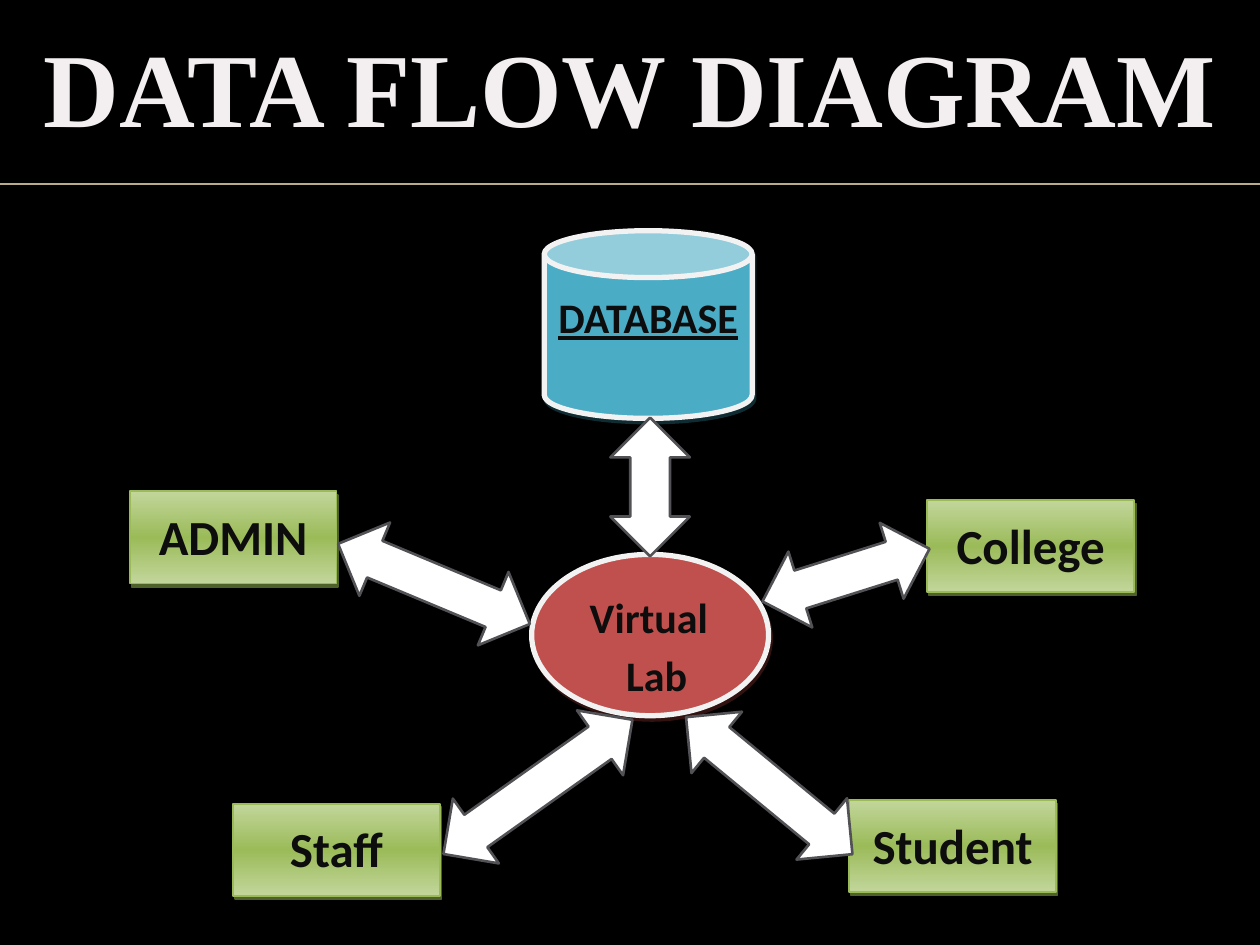
from math import atan2, degrees, hypot

from lxml.etree import SubElement
from pptx import Presentation
from pptx.dml.color import RGBColor
from pptx.enum.shapes import MSO_CONNECTOR, MSO_SHAPE
from pptx.enum.text import MSO_ANCHOR, PP_ALIGN
from pptx.oxml.ns import qn
from pptx.util import Pt

# Content: places are in points
SLIDE = (720, 540)
TITLE = "DATA FLOW DIAGRAM"
TITLE_BOX = (0, 9.4, 720, 79.9)
RULE_Y = 105.1
ENTITY_SIZE = (118.1, 52.6)
ENTITIES = [
    ("ADMIN", (74.2, 280.8)),
    ("College", (529.9, 285.8)),
    ("Staff", (133.2, 459.4)),
    ("Student", (485.3, 457.2)),
]
PROCESS = [("Virtual", 6.3), ("Lab", 27.1)]  # line, left indent
PROCESS_BOX = (303.8, 316.8, 135.4, 92.2)
STORE = "DATABASE"
STORE_BOX = (311, 131.8, 118.8, 107.3)
FLOW_THICKNESS = 45.4
FLOWS = [  # tip to tip
    ((371.5, 238.7), (371.5, 317.9)),  # database to lab
    ((193.2, 310.8), (302.8, 356.6)),  # admin to lab
    ((253.4, 488), (361.4, 411.3)),  # staff to lab
    ((487.1, 488.1), (392, 409.8)),  # student to lab
    ((435.7, 343.7), (531.2, 313.6)),  # lab to college
]

THEME = {
    "background": "000000", "rule": "BBAA8A", "title": "F3EFF0", "text": "0D0D0D",
    "entity": ("C2D69B", "9BBB59", "C2D69B"), "entity_line": "9BBB59",
    "entity_shadow": "4E6128",
    "process": "C0504D", "process_shadow": "622423",
    "store": "4BACC6", "store_shadow": "205867", "rim": "F2F2F2",
    "flow": "FFFFFF", "flow_line": "525256",
    "title_font": "Times New Roman", "font": "Calibri",
    "title_size": 60, "entity_size": 28, "center_size": 24,
}


def color(name):
    return RGBColor.from_string(THEME[name])


def write(paragraph, text, font_name, size, ink, **formats):
    run = paragraph.add_run()
    run.text = text
    run.font.color.rgb = color(ink)
    settings = {"name": THEME[font_name], "size": Pt(THEME[size]), "bold": True, **formats}
    for key, value in settings.items():
        setattr(run.font, key, value)


def add_outlined(preset, box, line, weight):
    shape = slide.shapes.add_shape(preset, *map(Pt, box))
    shape.shadow.inherit = False
    shape.line.color.rgb = color(line)
    shape.line.width = Pt(weight)
    shape.text_frame.vertical_anchor = MSO_ANCHOR.TOP
    return shape


def fill_solid(shape, name):
    shape.fill.solid()
    shape.fill.fore_color.rgb = color(name)


def fill_gradient(shape, name):
    shape.fill.gradient()
    gradient = shape.element.spPr.find(qn("a:gradFill"))
    stops = gradient.find(qn("a:gsLst"))
    for old in list(stops):
        stops.remove(old)
    tones = THEME[name]
    for i, tone in enumerate(tones):
        stop = SubElement(stops, qn("a:gs"), pos=str(100000 * i // (len(tones) - 1)))
        SubElement(stop, qn("a:srgbClr"), val=tone)
    gradient.find(qn("a:lin")).set("ang", str(90 * 60000))


def cast_shadow(shape, name, opacity):
    effects = shape.element.spPr.find(qn("a:effectLst"))
    shadow = SubElement(effects, qn("a:outerShdw"), dist=str(int(Pt(2.2))),
                        dir=str(63 * 60000), algn="ctr", rotWithShape="0")
    tone = SubElement(shadow, qn("a:srgbClr"), val=THEME[name])
    SubElement(tone, qn("a:alpha"), val=str(opacity * 1000))


def style_paragraph(paragraph, alignment, space_after=0):
    settings = {"alignment": alignment, "line_spacing": 1.15, "space_after": Pt(space_after)}
    for key, value in settings.items():
        setattr(paragraph, key, value)


presentation = Presentation()
presentation.slide_width, presentation.slide_height = map(Pt, SLIDE)
slide = presentation.slides.add_slide(presentation.slide_layouts[6])
slide.background.fill.solid()
slide.background.fill.fore_color.rgb = color("background")

# Title and the rule below it
rule = slide.shapes.add_connector(MSO_CONNECTOR.STRAIGHT, 0, Pt(RULE_Y), Pt(SLIDE[0]), Pt(RULE_Y))
rule.line.color.rgb = color("rule")
rule.line.width = Pt(1)
SubElement(rule._element.spPr, qn("a:effectLst"))

heading = slide.shapes.add_textbox(*map(Pt, TITLE_BOX)).text_frame
heading.word_wrap = True
heading.paragraphs[0].alignment = PP_ALIGN.CENTER
write(heading.paragraphs[0], TITLE, "title_font", "title_size", "title")

# External entities
for entity, place in ENTITIES:
    card = add_outlined(MSO_SHAPE.RECTANGLE, place + ENTITY_SIZE, "entity_line", 1)
    fill_gradient(card, "entity")
    cast_shadow(card, "entity_shadow", 100)
    label = card.text_frame.paragraphs[0]
    style_paragraph(label, PP_ALIGN.CENTER, 10)
    write(label, entity, "font", "entity_size", "text")

# Central process
process = add_outlined(MSO_SHAPE.OVAL, PROCESS_BOX, "rim", 3)
fill_solid(process, "process")
cast_shadow(process, "process_shadow", 50)
for i, (words, indent) in enumerate(PROCESS):
    frame = process.text_frame
    label = frame.add_paragraph() if i else frame.paragraphs[0]
    style_paragraph(label, PP_ALIGN.LEFT)
    label._p.get_or_add_pPr().set("marL", str(int(Pt(indent))))
    write(label, words, "font", "center_size", "text")

# Data store
store = add_outlined(MSO_SHAPE.CAN, STORE_BOX, "rim", 3)
store.adjustments[0] = 0.25
fill_solid(store, "store")
cast_shadow(store, "store_shadow", 50)
label = store.text_frame.paragraphs[0]
style_paragraph(label, PP_ALIGN.CENTER, 10)
write(label, STORE, "font", "center_size", "text", underline=True)

# Two-way flows, turned to run from tip to tip
for (x1, y1), (x2, y2) in FLOWS:
    length = hypot(x2 - x1, y2 - y1)
    box = ((x1 + x2 - length) / 2, (y1 + y2 - FLOW_THICKNESS) / 2, length, FLOW_THICKNESS)
    flow = add_outlined(MSO_SHAPE.LEFT_RIGHT_ARROW, box, "flow_line", 1.5)
    fill_solid(flow, "flow")
    flow.rotation = degrees(atan2(y2 - y1, x2 - x1)) % 360

presentation.save("out.pptx")
